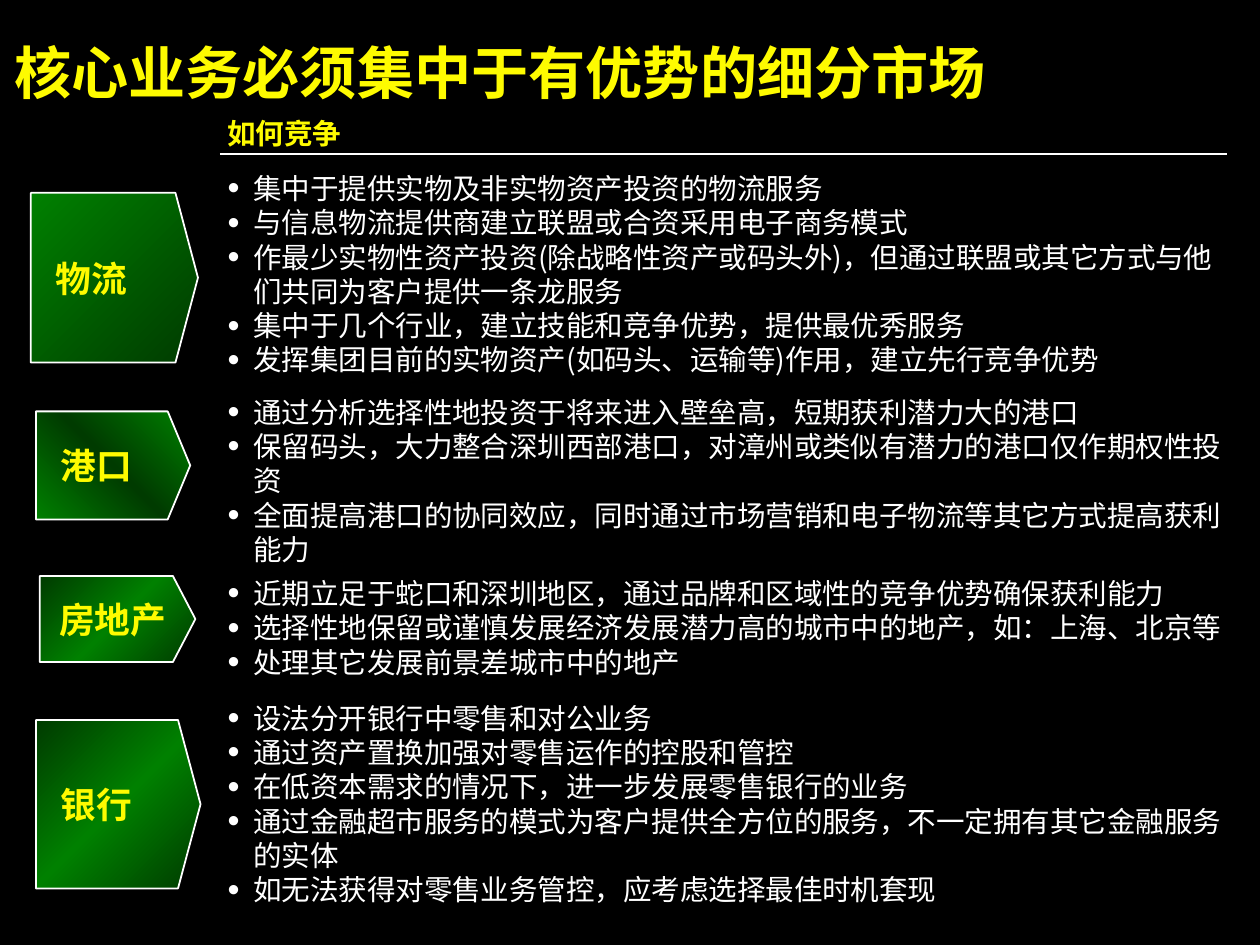
import copy

import pptx
import pptx.dml.color
import pptx.enum.shapes
import pptx.enum.text
import pptx.oxml
import pptx.oxml.ns
import pptx.util
from lxml import etree

BLACK = pptx.dml.color.RGBColor(0x00, 0x00, 0x00)
WHITE = pptx.dml.color.RGBColor(0xFF, 0xFF, 0xFF)
YELLOW = pptx.dml.color.RGBColor(0xFE, 0xFB, 0x00)
GREEN = pptx.dml.color.RGBColor(0x00, 0x80, 0x00)
DARK_GREEN = pptx.dml.color.RGBColor(0x00, 0x3B, 0x00)

LATIN_FONT = "Arial"
CHINESE_FONT = "Noto Sans CJK SC"

WIDTH = pptx.util.Inches(9.8)
HEIGHT = pptx.util.Inches(7.35)
COLUMNS = 98
ROWS = 73.5
TEXT_LEFT = 17.7
TEXT_WIDTH = 77.7
LINE_ROWS = 2.66
LINE_FACTOR = 1.2

BUSINESSES = [
    dict(
        name="物流", arrow=(2.4, 15, 13, 13.2), label_inset=1.9,
        colors=[DARK_GREEN, GREEN], angle=225, text_top=13.1, font=CHINESE_FONT,
        lines=6,
        points=[
            "集中于提供实物及非实物资产投资的物流服务",
            "与信息物流提供商建立联盟或合资采用电子商务模式",
            "作最少实物性资产投资(除战略性资产或码头外)，但通过联盟或其它方式与他们共同为客户提供一条龙服务",
            "集中于几个行业，建立技能和竞争优势，提供最优秀服务",
            "发挥集团目前的实物资产(如码头、运输等)作用，建立先行竞争优势",
        ],
    ),
    dict(
        name="港口", arrow=(2.8, 32, 12, 8.4), label_inset=1.9,
        colors=[GREEN, DARK_GREEN, GREEN], angle=135, text_top=30.5,
        font=CHINESE_FONT, lines=5,
        points=[
            "通过分析选择性地投资于将来进入壁垒高，短期获利潜力大的港口",
            "保留码头，大力整合深圳西部港口，对漳州或类似有潜力的港口仅作期权性投资",
            "全面提高港口的协同效应，同时通过市场营销和电子物流等其它方式提高获利能力",
        ],
    ),
    dict(
        name="房地产", arrow=(3.1, 44.8, 12.1, 6.7), label_inset=1.5,
        colors=[DARK_GREEN, GREEN, DARK_GREEN], angle=225, text_top=44.6,
        font=LATIN_FONT, lines=3,
        points=[
            "近期立足于蛇口和深圳地区，通过品牌和区域性的竞争优势确保获利能力",
            "选择性地保留或谨慎发展经济发展潜力高的城市中的地产，如：上海、北京等",
            "处理其它发展前景差城市中的地产",
        ],
    ),
    dict(
        name="银行", arrow=(2.8, 56, 12.8, 13.1), label_inset=1.9,
        colors=[DARK_GREEN, GREEN, DARK_GREEN], angle=225, text_top=54.3,
        font=LATIN_FONT, lines=6,
        points=[
            "设法分开银行中零售和对公业务",
            "通过资产置换加强对零售运作的控股和管控",
            "在低资本需求的情况下，进一步发展零售银行的业务",
            "通过金融超市服务的模式为客户提供全方位的服务，不一定拥有其它金融服务的实体",
            "如无法获得对零售业务管控，应考虑选择最佳时机套现",
        ],
    ),
]


def column(count):
    return round(WIDTH * count / COLUMNS)


def row(count):
    return round(HEIGHT * count / ROWS)


def add_bullet(paragraph, color):
    properties = paragraph._p.get_or_add_pPr()
    properties.set("marL", str(column(2)))
    properties.set("indent", str(-column(2)))
    bullet_color = etree.SubElement(properties, pptx.oxml.ns.qn("a:buClr"))
    etree.SubElement(bullet_color, pptx.oxml.ns.qn("a:srgbClr"), val=str(color))
    for tag, attributes in (
        ("a:buSzPct", {"val": "120000"}),
        ("a:buFont", {"typeface": LATIN_FONT}),
        ("a:buChar", {"char": "•"}),
    ):
        etree.SubElement(properties, pptx.oxml.ns.qn(tag), attributes)


def write(shape, *texts, size, color, bold=False, font=LATIN_FONT, bullet=False,
          exact=True, left=0, top=0,
          anchor=pptx.enum.text.MSO_ANCHOR.TOP):
    frame = shape.text_frame
    frame.word_wrap = True
    frame.auto_size = pptx.enum.text.MSO_AUTO_SIZE.NONE
    frame.vertical_anchor = anchor
    frame.margin_left, frame.margin_top = column(left), row(top)
    frame.margin_right = frame.margin_bottom = 0
    for index, text in enumerate(texts):
        paragraph = frame.add_paragraph() if index else frame.paragraphs[0]
        paragraph.alignment = pptx.enum.text.PP_ALIGN.LEFT
        paragraph.space_before = paragraph.space_after = pptx.util.Pt(0)
        if exact:
            paragraph.line_spacing = pptx.util.Pt(size * LINE_FACTOR)
        if bullet:
            add_bullet(paragraph, color)
        run = paragraph.add_run()
        run.text = text
        run.font.size = pptx.util.Pt(size)
        run.font.bold = bold
        run.font.name = font
        run.font.color.rgb = color
        etree.SubElement(run._r.get_or_add_rPr(), pptx.oxml.ns.qn("a:ea"),
                         typeface=CHINESE_FONT)


def add_text_box(slide, left, top, width, height):
    return slide.shapes.add_textbox(column(left), row(top), column(width), row(height))


def fill_gradient(shape, colors, angle):
    shape.fill.gradient()
    shape.fill.gradient_angle = 360 - angle
    stop_list = shape._element.spPr.find(".//" + pptx.oxml.ns.qn("a:gsLst"))
    while len(stop_list) < len(colors):
        stop_list.append(copy.deepcopy(stop_list[0]))
    for index, (stop, color) in enumerate(zip(shape.fill.gradient_stops, colors)):
        stop.position = index / (len(colors) - 1)
        stop.color.rgb = color


def add_arrow(slide, left, top, width, height, colors, angle):
    right, bottom, shoulder = left + width, top + height, left + width - 1.75
    outline = [(shoulder, top), (right, top + height / 2), (shoulder, bottom),
               (left, bottom)]
    builder = slide.shapes.build_freeform(column(left), row(top))
    builder.add_line_segments([(column(x), row(y)) for x, y in outline], close=True)
    arrow = builder.convert_to_shape()
    arrow.shadow.inherit = False
    fill_gradient(arrow, colors, angle)
    arrow.line.color.rgb = WHITE
    arrow.line.width = pptx.util.Pt(1)
    return arrow


def add_rule(slide, left, right, top):
    rule = slide.shapes.add_connector(
        pptx.enum.shapes.MSO_CONNECTOR.STRAIGHT,
        column(left), row(top), column(right), row(top))
    rule.line.color.rgb = WHITE
    rule.line.width = pptx.util.Pt(1)
    etree.SubElement(rule._element.spPr, pptx.oxml.ns.qn("a:effectLst"))


def add_business(slide, business):
    arrow = add_arrow(slide, *business["arrow"], business["colors"], business["angle"])
    write(arrow, business["name"], size=20, color=YELLOW, bold=True, exact=False,
          left=business["label_inset"], anchor=pptx.enum.text.MSO_ANCHOR.MIDDLE)
    box = add_text_box(slide, TEXT_LEFT, business["text_top"], TEXT_WIDTH,
                       business["lines"] * LINE_ROWS)
    write(box, *business["points"], size=16, color=WHITE, font=business["font"],
          bullet=True, top=0.2)


def add_title(slide, text):
    title = slide.shapes.title
    title.left, title.top = column(1.1), row(2.5)
    title.width, title.height = column(95.1), row(5.3)
    write(title, text, size=32, color=YELLOW, bold=True, top=0.4)


def main():
    presentation = pptx.Presentation()
    presentation.slide_width = WIDTH
    presentation.slide_height = HEIGHT
    slide = presentation.slides.add_slide(presentation.slide_layouts[5])
    slide.background.fill.solid()
    slide.background.fill.fore_color.rgb = BLACK
    add_title(slide, "核心业务必须集中于有优势的细分市场")
    heading = add_text_box(slide, TEXT_LEFT, 8.9, 10, LINE_ROWS)
    write(heading, "如何竞争", size=16, color=YELLOW, bold=True, top=0.1)
    add_rule(slide, 17.1, 95.4, 12)
    for business in BUSINESSES:
        add_business(slide, business)
    presentation.save("out.pptx")


if __name__ == "__main__":
    main()
